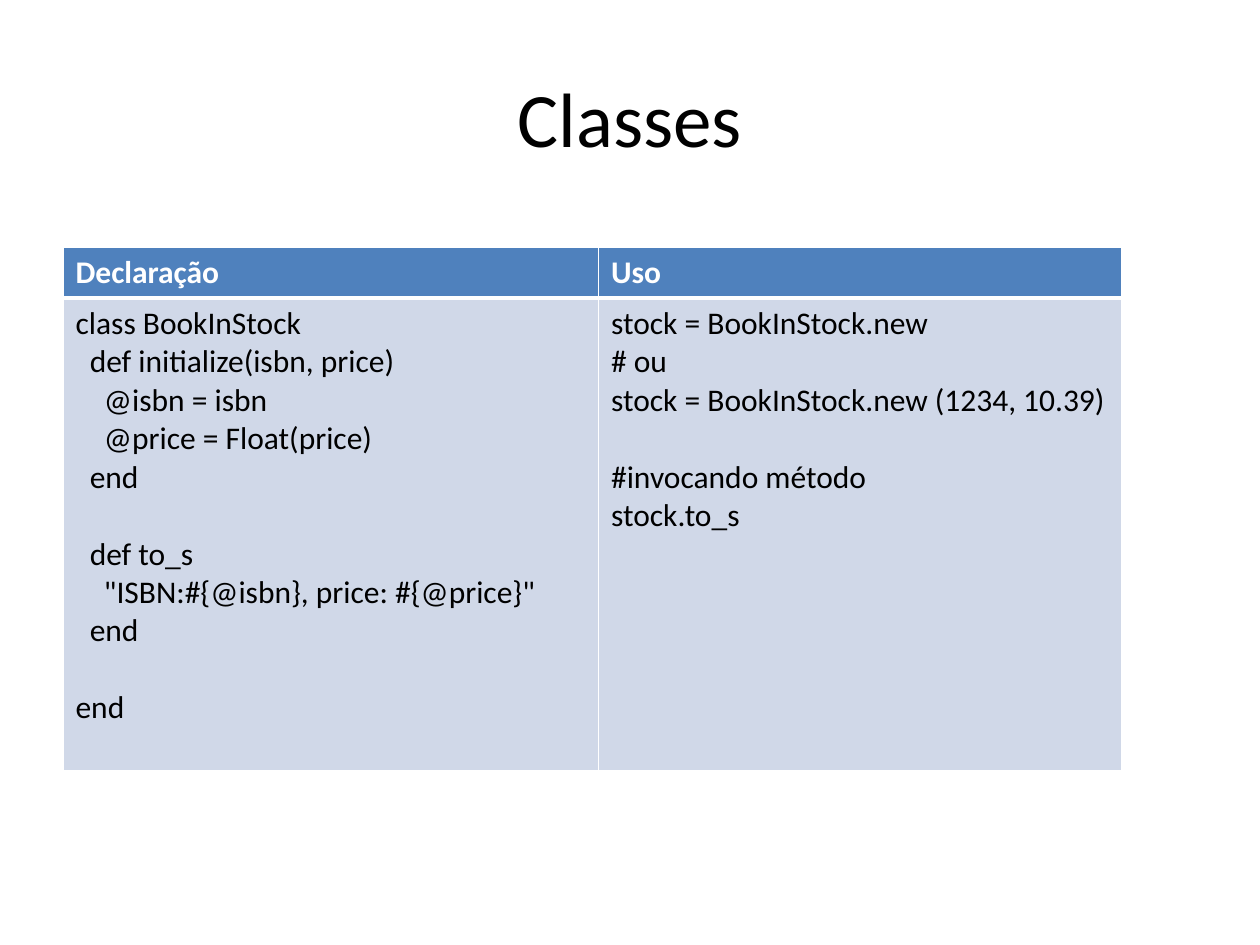
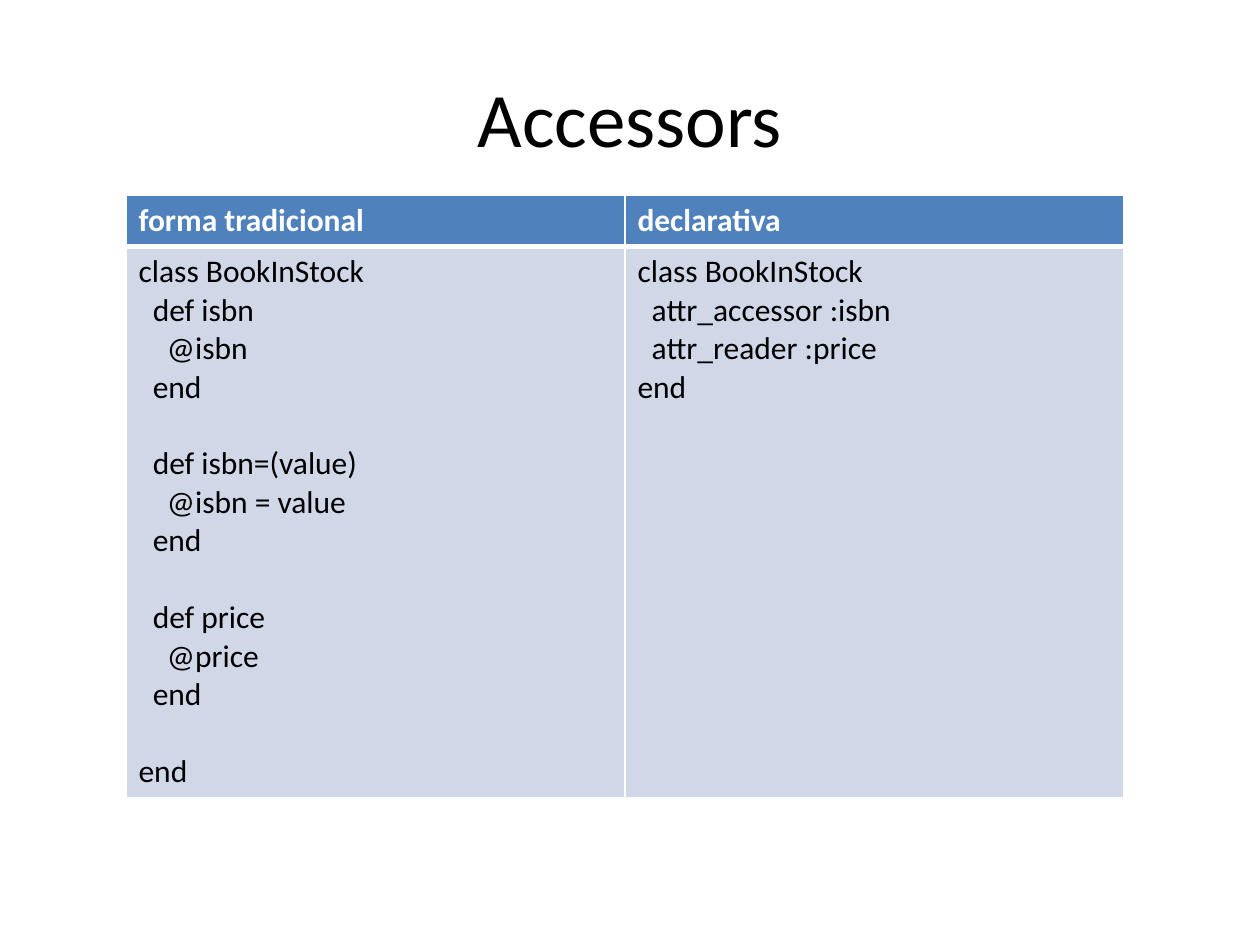
from dataclasses import dataclass

from lxml.etree import SubElement
from pptx import Presentation
from pptx.dml.color import RGBColor as RGB
from pptx.enum.text import MSO_ANCHOR, PP_ALIGN
from pptx.oxml.ns import qn
from pptx.util import Inches, Pt


@dataclass(frozen=True)
class Theme:
    font: str = "Calibri"
    title_size: int = 44
    text_size: int = 18
    line_height: int = 22    # points, one line of table text
    space_width: float = 4.05    # points, one space of code indent
    thin: int = 1
    thick: int = 3
    header_height: float = 0.4    # inches
    dark: str = "000000"
    light: str = "FFFFFF"
    header_fill: str = "4F81BD"
    body_fill: str = "D0D8E8"


T = Theme()

SLIDES = [
    dict(
        title="Classes", left=0.5, top=1.96, cols=(4.25, 4.15), body_height=3.75,
        heads=("Declaração", "Uso"),
        code=("""class BookInStock
  def initialize(isbn, price)
    @isbn = isbn
    @price = Float(price)
  end

  def to_s
    "ISBN:#{@isbn}, price: #{@price}"
  end

end""", """stock = BookInStock.new
# ou
stock = BookInStock.new (1234, 10.39)

#invocando método
stock.to_s"""),
    ),
    dict(
        title="Accessors", left=1, top=1.55, cols=(3.96, 3.96), body_height=4.37,
        heads=("forma tradicional", "declarativa"),
        code=("""class BookInStock
  def isbn
    @isbn
  end

  def isbn=(value)
    @isbn = value
  end

  def price
    @price
  end

end""", """class BookInStock
  attr_accessor :isbn
  attr_reader :price
end"""),
    ),
]


def add_run(p, text, size, color, bold=False):
    r = p.add_run()
    r.text = text
    r.font.name, r.font.size, r.font.bold = T.font, Pt(size), bold
    r.font.color.rgb = RGB.from_string(color)


def fill_cell(cell, text, fill, color, bold, borders):
    # Borders come before the fill in the cell properties
    tcPr = cell._tc.get_or_add_tcPr()
    for side, width in borders.items():
        ln = SubElement(tcPr, qn(f"a:ln{side}"), w=str(Pt(width)))
        SubElement(SubElement(ln, qn("a:solidFill")), qn("a:srgbClr"), val=T.light)
    cell.fill.solid()
    cell.fill.fore_color.rgb = RGB.from_string(fill)

    # Leading spaces become indents, empty lines become paragraph spacing
    tf = cell.text_frame
    p, gap = tf.paragraphs[0], 0
    for i, line in enumerate(text.split("\n")):
        code = line.lstrip()
        if not code:
            gap += T.line_height
            continue
        if i:
            p = tf.add_paragraph()
        p.space_before = Pt(gap)
        indent = Pt((len(line) - len(code)) * T.space_width)
        p._p.get_or_add_pPr().set("marL", str(indent))
        add_run(p, code, T.text_size, color, bold)
        gap = 0


prs = Presentation()
prs.slide_width, prs.slide_height = Inches(10), Inches(7.5)

for page in SLIDES:
    s = prs.slides.add_slide(prs.slide_layouts[5])

    # Title
    title = s.shapes.title
    title.left, title.top = Inches(0.5), Inches(0.3)
    title.width, title.height = Inches(9), Inches(1.25)
    title.text_frame.vertical_anchor = MSO_ANCHOR.MIDDLE
    p = title.text_frame.paragraphs[0]
    p.alignment = PP_ALIGN.CENTER
    add_run(p, page["title"], T.title_size, T.dark)

    # Code table
    heights = (T.header_height, page["body_height"])
    table = s.shapes.add_table(
        2, 2, Inches(page["left"]), Inches(page["top"]),
        Inches(sum(page["cols"])), Inches(sum(heights))).table
    for row, height in zip(table.rows, heights):
        row.height = Inches(height)
    for c, width in enumerate(page["cols"]):
        table.columns[c].width = Inches(width)
        edges = dict(L=T.thin, R=T.thin, T=T.thin, B=T.thin)
        fill_cell(table.cell(0, c), page["heads"][c], T.header_fill, T.light, True,
                  edges | {"B": T.thick})
        fill_cell(table.cell(1, c), page["code"][c], T.body_fill, T.dark, False,
                  edges | {"T": T.thick})

prs.save("out.pptx")
